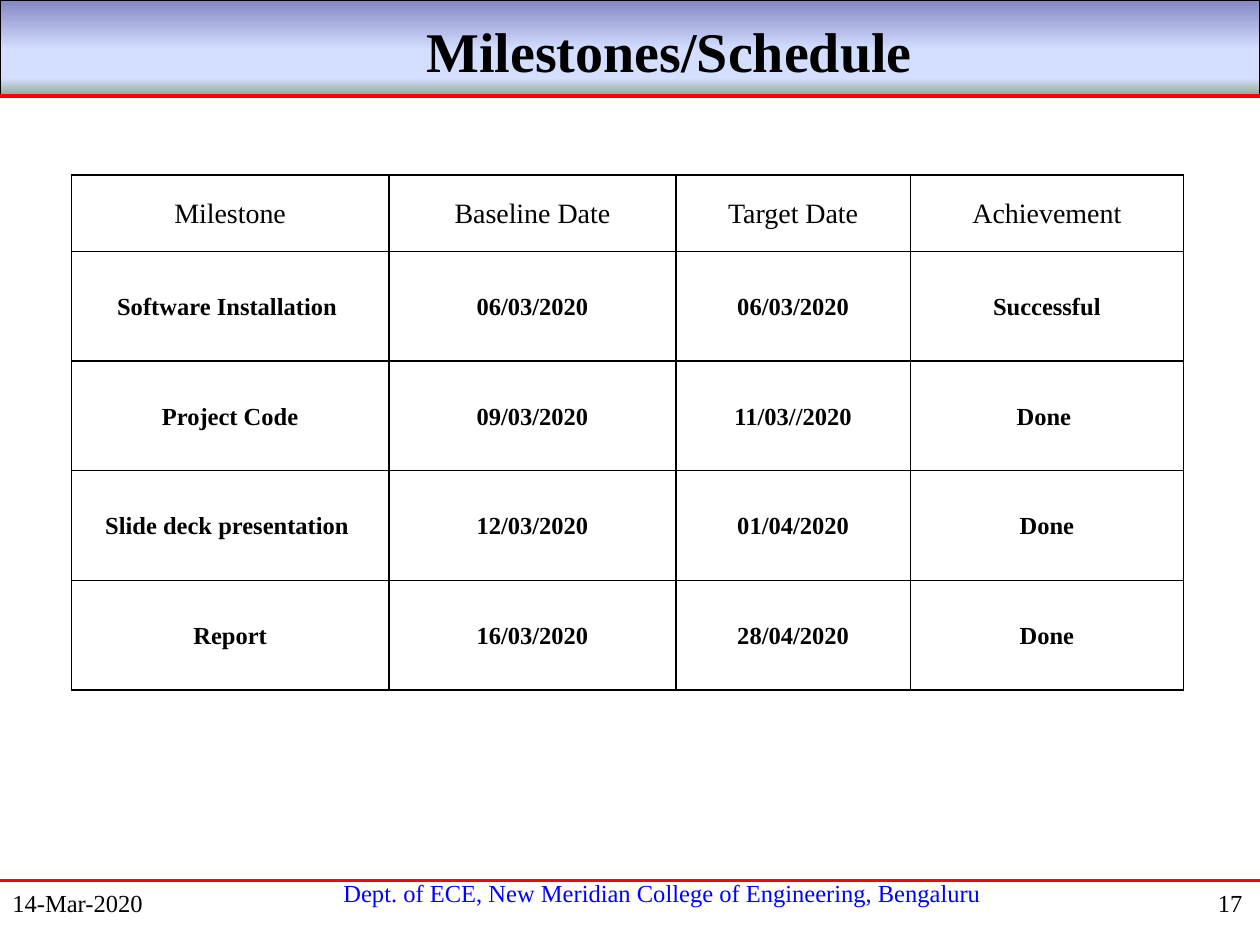
from lxml import etree
from pptx import Presentation
from pptx.dml.color import RGBColor
from pptx.enum.shapes import MSO_CONNECTOR, MSO_SHAPE
from pptx.enum.text import MSO_ANCHOR, PP_ALIGN
from pptx.oxml.ns import qn
from pptx.util import Pt

LEFT, CENTER, RIGHT = PP_ALIGN.LEFT, PP_ALIGN.CENTER, PP_ALIGN.RIGHT
MIDDLE = MSO_ANCHOR.MIDDLE
RECTANGLE = MSO_SHAPE.RECTANGLE
STRAIGHT = MSO_CONNECTOR.STRAIGHT

BLACK = RGBColor(0x00, 0x00, 0x00)
RED = RGBColor(0xFF, 0x00, 0x00)
BLUE = RGBColor(0x00, 0x00, 0xFF)
INDIGO = RGBColor(0x84, 0x88, 0xC4)
PALE_BLUE = RGBColor(0xD4, 0xDE, 0xFF)
SAGE = RGBColor(0x96, 0xAB, 0x94)
FONT = "Times New Roman"
PAGE_WIDTH = 720


def style_paragraph(para, size, color, align, bold=False):
    para.alignment = align
    para.font.name = FONT
    para.font.size = Pt(size)
    para.font.color.rgb = color
    para.font.bold = bold


def add_solid_line(parent, tag, color, width):
    """Append a solid line element, such as a cell border, to parent."""
    line = etree.SubElement(parent, qn(tag), w=str(Pt(width)))
    fill = etree.SubElement(line, qn("a:solidFill"))
    etree.SubElement(fill, qn("a:srgbClr"), val=str(color))


deck = Presentation()
deck.slide_width, deck.slide_height = Pt(PAGE_WIDTH), Pt(540)
page = deck.slides.add_slide(deck.slide_layouts[6])

# Header band
band = page.shapes.add_shape(RECTANGLE, 0, 0, Pt(PAGE_WIDTH), Pt(54))
band.shadow.inherit = False
band.line.color.rgb = BLACK
band.line.width = Pt(0.75)
band.fill.gradient()
band.fill.gradient_angle = 270
stops = band._element.spPr.find(qn("a:gradFill")).find(qn("a:gsLst"))
for stop in list(stops):
    stops.remove(stop)
for percent, color in [(0, INDIGO), (53, PALE_BLUE), (83, PALE_BLUE), (100, SAGE)]:
    stop = etree.SubElement(stops, qn("a:gs"), pos=str(percent * 1000))
    etree.SubElement(stop, qn("a:srgbClr"), val=str(color))

# Rules under the header and above the footer
for y, width in [(54.7, 2.25), (503.3, 1.5)]:
    rule = page.shapes.add_connector(STRAIGHT, 0, Pt(y), Pt(PAGE_WIDTH), Pt(y))
    rule.line.color.rgb = RED
    rule.line.width = Pt(width)
    etree.SubElement(rule._element.spPr, qn("a:effectLst"))

# Title and footer: text, left, top, width, height, left inset, size, color, align, bold
labels = [
    ("Milestones/Schedule", 0, 5.8, 717, 46, 55.2, 32, BLACK, CENTER, True),
    ("Dept. of ECE, New Meridian College of Engineering, Bengaluru",
     120, 498.2, 510, 24, 14.2, 14, BLUE, CENTER, False),
    ("14-Mar-2020", 0, 504, 150, 36, 7.2, 14, BLACK, LEFT, False),
    ("17", 567, 504, 150, 36, 7.2, 14, BLACK, RIGHT, False),
]
for text, left, top, width, height, inset, size, color, align, bold in labels:
    box = page.shapes.add_textbox(Pt(left), Pt(top), Pt(width), Pt(height))
    box.text_frame.word_wrap = True
    box.text_frame.margin_left = Pt(inset)
    para = box.text_frame.paragraphs[0]
    para.text = text
    style_paragraph(para, size, color, align, bold)

# Milestone table
rows = [
    ("Milestone", "Baseline Date", "Target Date", "Achievement"),
    ("Software Installation ", "06/03/2020", "06/03/2020", "Successful"),
    ("Project Code", "09/03/2020", "11/03//2020", "Done "),
    ("Slide deck presentation ", "12/03/2020", "01/04/2020", "Done"),
    ("Report", "16/03/2020", "28/04/2020", "Done"),
]
column_widths = [181.5, 164, 134, 156]
row_heights = [43.6] + [62.7] * 4
frame = page.shapes.add_table(
    len(rows), len(column_widths), Pt(40.8), Pt(100),
    Pt(sum(column_widths)), Pt(sum(row_heights)))
table = frame.table
table.first_row = table.horz_banding = False
for column, width in zip(table.columns, column_widths):
    column.width = Pt(width)
for r, texts in enumerate(rows):
    table.rows[r].height = Pt(row_heights[r])
    for c, text in enumerate(texts):
        cell = table.cell(r, c)
        cell.vertical_anchor = MIDDLE
        cell.margin_left = cell.margin_right = Pt(4.5)
        cell.margin_top = cell.margin_bottom = 0
        para = cell.text_frame.paragraphs[0]
        para.text = text
        para.line_spacing = 1.07
        para.space_before = para.space_after = Pt(3)
        style_paragraph(para, 14 if r else 16, BLACK, CENTER, r > 0)
        for side in ("a:lnL", "a:lnR", "a:lnT", "a:lnB"):
            add_solid_line(cell._tc.get_or_add_tcPr(), side, BLACK, 1)
        cell.fill.background()

deck.save("out.pptx")
